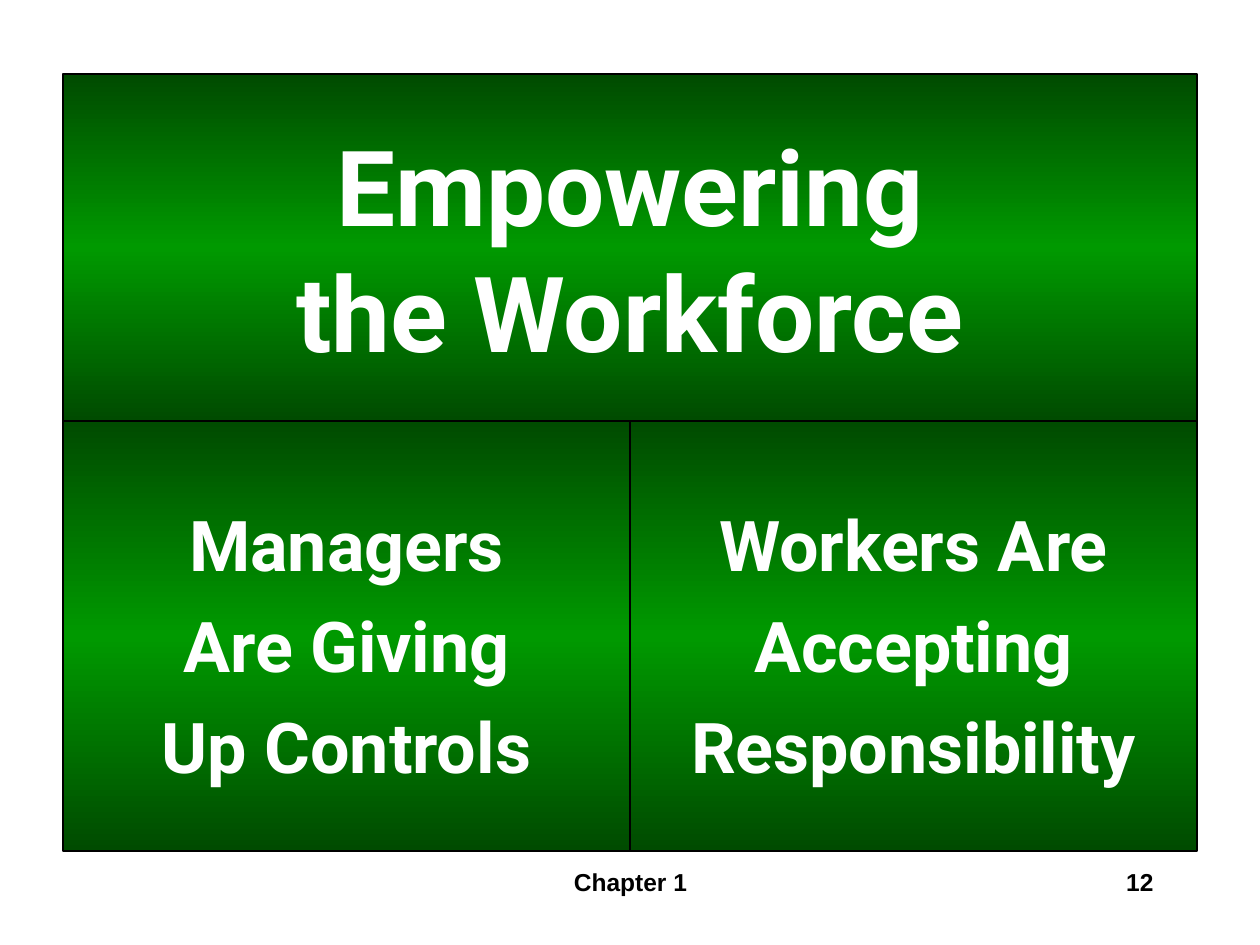
from copy import deepcopy
from dataclasses import dataclass

from lxml import etree
from pptx import Presentation
from pptx import util as u
from pptx.dml.color import RGBColor
from pptx.enum import text
from pptx.oxml.ns import qn

PX = 914400 / 126


@dataclass(frozen=True)
class Theme:
    dark: str = "004B00"
    bright: str = "009900"
    light: str = "FFFFFF"
    ink: str = "000000"
    panel_font: str = "Roboto"
    footer_font: str = "Arial"
    title_size: int = 60
    panel_size: int = 40
    footer_size: int = 14


THEME = Theme()


def px(length):
    return round(length * PX)


def place(shape, box):
    shape.left, shape.top, shape.width, shape.height = map(px, box)


def write(shape, paragraphs, *, font, size, color, align=text.PP_ALIGN.CENTER,
          anchor=text.MSO_ANCHOR.MIDDLE, spacing=1.0, wrap=True):
    """Fill the shape with bold paragraphs; a vertical tab breaks a line."""
    frame = shape.text_frame
    frame.text = "\n".join(paragraphs)
    frame.word_wrap = wrap
    frame.auto_size = text.MSO_AUTO_SIZE.NONE
    frame.vertical_anchor = anchor
    for paragraph in frame.paragraphs:
        paragraph.alignment = align
        paragraph.line_spacing = spacing
        paragraph.space_before = u.Pt(0)
        for run in paragraph.runs:
            run.font.name = font
            run.font.size = u.Pt(size)
            run.font.bold = True
            run.font.color.rgb = RGBColor.from_string(color)


def remove_bullets(shape):
    for paragraph in shape.text_frame.paragraphs:
        properties = paragraph._p.get_or_add_pPr()
        properties.set("marL", "0")
        properties.set("indent", "0")
        etree.SubElement(properties, qn("a:buNone"))


def paint_panel(shape):
    """Give the panel a dark-bright-dark vertical gradient and a thin outline."""
    shape.fill.gradient()
    shape.fill.gradient_angle = 270
    stop_list = shape.element.find(".//" + qn("a:gsLst"))
    stop_list.append(deepcopy(stop_list[-1]))
    colors = (THEME.dark, THEME.bright, THEME.dark)
    for stop, position, color in zip(shape.fill.gradient_stops, (0, 0.5, 1), colors):
        stop.position = position
        stop.color.rgb = RGBColor.from_string(color)
    shape.line.color.rgb = RGBColor.from_string(THEME.ink)
    shape.line.width = u.Pt(1)


def add_title(shape, box, title):
    place(shape, box)
    paint_panel(shape)
    write(shape, [title], font=THEME.panel_font, size=THEME.title_size,
          color=THEME.light)


def add_columns(shapes, box, columns):
    left, top, width, height = box
    column_width = width // len(columns)
    for index, (shape, lines) in enumerate(zip(shapes, columns)):
        place(shape, (left + index * column_width, top, column_width, height))
        paint_panel(shape)
        write(shape, lines, font=THEME.panel_font, size=THEME.panel_size,
              color=THEME.light, spacing=1.2, wrap=False)
        remove_bullets(shape)


def add_footer(slide, box, chapter, number):
    left, top, width, height = box
    parts = (
        (chapter, 368, 399, text.PP_ALIGN.CENTER),
        (number, width - 262, 262, text.PP_ALIGN.RIGHT),
    )
    for words, offset, part_width, align in parts:
        shape = slide.shapes.add_textbox(0, 0, 0, 0)
        place(shape, (left + offset, top, part_width, height))
        write(shape, [words], font=THEME.footer_font, size=THEME.footer_size,
              color=THEME.ink, align=align, anchor=text.MSO_ANCHOR.TOP)


def main():
    presentation = Presentation()
    presentation.slide_width, presentation.slide_height = px(1260), px(945)
    slide = presentation.slides.add_slide(presentation.slide_layouts[3])
    title, *columns = slide.placeholders
    add_title(title, (63, 74, 1134, 347), "Empowering\vthe Workforce")
    add_columns(columns, (63, 421, 1134, 430), (
        ("Managers", "Are Giving", "Up Controls"),
        ("Workers Are", "Accepting", "Responsibility"),
    ))
    add_footer(slide, (63, 861, 1103, 63), "Chapter 1", "12")
    presentation.save("out.pptx")


if __name__ == "__main__":
    main()
